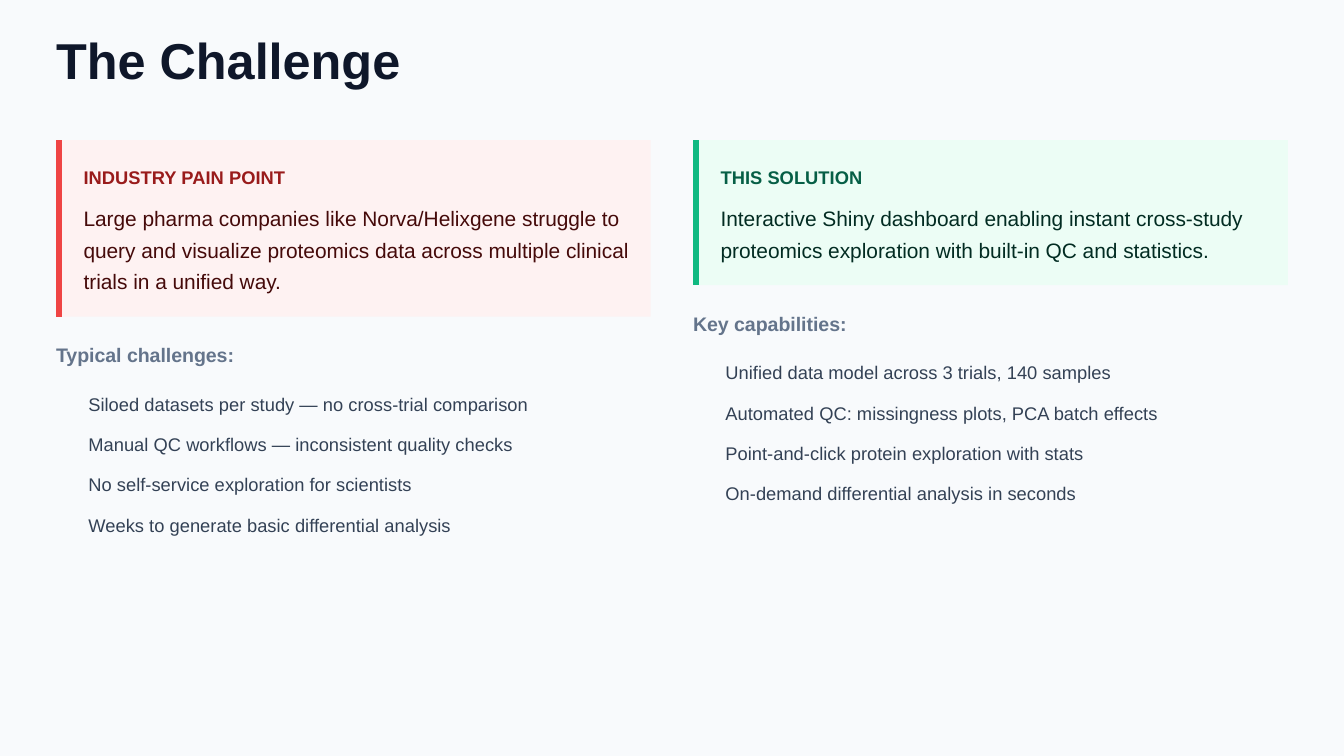
from lxml import etree
from pptx import Presentation
from pptx import util as u
from pptx.dml import color
from pptx.enum import shapes, text
from pptx.oxml import ns

Cm, Pt = u.Cm, u.Pt

COLORS = {
    "page": "F8FAFC", "title": "0F172A", "heading": "64748B", "item": "334155",
    "pain_fill": "FEF2F2", "pain_bar": "EF4444",
    "pain_label": "991B1B", "pain_text": "450A0A",
    "gain_fill": "ECFDF5", "gain_bar": "10B981",
    "gain_label": "065F46", "gain_text": "022C22",
}
MARGIN, GAP, COLUMN_WIDTH = 1.06, 0.8, 11.24
COLUMN_TOP, COLUMN_HEIGHT = 2.65, 10
PADDING, LABEL_HEIGHT, BODY_OFFSET, LINE_HEIGHT = 0.43, 0.48, 1.12, 0.595

COLUMNS = [
    {
        "tone": "pain", "label": "INDUSTRY PAIN POINT", "lines": 3,
        "statement": "Large pharma companies like Norva/Helixgene struggle to query "
                     "and visualize proteomics data across multiple clinical trials "
                     "in a unified way.",
        "heading": "Typical challenges:",
        "items": [
            "Siloed datasets per study — no cross-trial comparison",
            "Manual QC workflows — inconsistent quality checks",
            "No self-service exploration for scientists",
            "Weeks to generate basic differential analysis",
        ],
    },
    {
        "tone": "gain", "label": "THIS SOLUTION", "lines": 2,
        "statement": "Interactive Shiny dashboard enabling instant cross-study "
                     "proteomics exploration with built-in QC and statistics.",
        "heading": "Key capabilities:",
        "items": [
            "Unified data model across 3 trials, 140 samples",
            "Automated QC: missingness plots, PCA batch effects",
            "Point-and-click protein exploration with stats",
            "On-demand differential analysis in seconds",
        ],
    },
]


def rgb(name):
    return color.RGBColor.from_string(COLORS[name])


def place(shape, box):
    shape.left, shape.top, shape.width, shape.height = (Cm(length) for length in box)


def write(shape, lines, size, spacing, ink, bold=False, after=0):
    frame = shape.text_frame
    frame.word_wrap = True
    frame.auto_size = text.MSO_AUTO_SIZE.NONE
    frame.vertical_anchor = text.MSO_ANCHOR.TOP
    frame.margin_left = frame.margin_right = frame.margin_top = frame.margin_bottom = 0
    for index, line in enumerate(lines):
        para = frame.add_paragraph() if index else frame.paragraphs[0]
        para.alignment = text.PP_ALIGN.LEFT
        para.line_spacing = Pt(spacing)
        para.space_before = Pt(0)
        para.space_after = Pt(after)
        span = para.add_run()
        span.text = line
        span.font.name = "Arial"
        span.font.size = Pt(size)
        span.font.bold = bold
        span.font.color.rgb = rgb(ink)


def add_text(page, box, line, size, spacing, ink, bold=False):
    label = page.shapes.add_textbox(*(Cm(length) for length in box))
    write(label, [line], size, spacing, ink, bold)


def fill_title(page, box):
    title = page.shapes.title
    place(title, box)
    write(title, ["The Challenge"], 27, 27, "title", bold=True)


def add_card(page, box, column):
    left, top, width, height = box
    tone = column["tone"]
    card = page.shapes.add_shape(
        shapes.MSO_SHAPE.RECTANGLE, *(Cm(length) for length in box))
    card.shadow.inherit = False
    card.fill.solid()
    card.fill.fore_color.rgb = rgb(f"{tone}_fill")
    card.line.fill.background()

    bar_left = Cm(left + 0.05)
    bar = page.shapes.add_connector(
        shapes.MSO_CONNECTOR.STRAIGHT, bar_left, Cm(top), bar_left, Cm(top + height))
    bar.line.color.rgb = rgb(f"{tone}_bar")
    bar.line.width = Pt(3)
    etree.SubElement(bar._element.spPr, ns.qn("a:effectLst"))

    text_left, text_width = left + 0.52, width - 0.75
    add_text(page, (text_left, top + PADDING, text_width, LABEL_HEIGHT),
             column["label"], 9.8, 13.7, f"{tone}_label", bold=True)
    add_text(page, (text_left, top + BODY_OFFSET, text_width,
                    height - BODY_OFFSET - PADDING),
             column["statement"], 11.2, 16.9, f"{tone}_text")


def fill_list(holder, box, items):
    place(holder, box)
    write(holder, items, 9.8, 13.7, "item", after=8)
    for para in holder.text_frame.paragraphs:
        props = para._p.get_or_add_pPr()
        props.set("marL", "0")
        props.set("indent", "0")
        etree.SubElement(props, ns.qn("a:buNone"))


def fill_column(page, holder, box, column):
    left, top, width, height = box
    card_height = BODY_OFFSET + column["lines"] * LINE_HEIGHT + PADDING
    add_card(page, (left, top, width, card_height), column)
    heading_top = top + card_height + PADDING
    add_text(page, (left, heading_top, width, 0.52),
             column["heading"], 10.5, 14.7, "heading", bold=True)
    list_top = heading_top + 0.94
    fill_list(holder, (left + 0.61, list_top, width - 0.61, 3), column["items"])


def main():
    deck = Presentation()
    deck.slide_width, deck.slide_height = Cm(25.4), Cm(14.29)
    page = deck.slides.add_slide(deck.slide_layouts[3])
    page.background.fill.solid()
    page.background.fill.fore_color.rgb = rgb("page")

    fill_title(page, (MARGIN, 0.74, 11.91, 0.96))
    for index, column in enumerate(COLUMNS):
        left = MARGIN + index * (COLUMN_WIDTH + GAP)
        fill_column(page, page.placeholders[index + 1],
                    (left, COLUMN_TOP, COLUMN_WIDTH, COLUMN_HEIGHT), column)
    deck.save("out.pptx")


if __name__ == "__main__":
    main()
